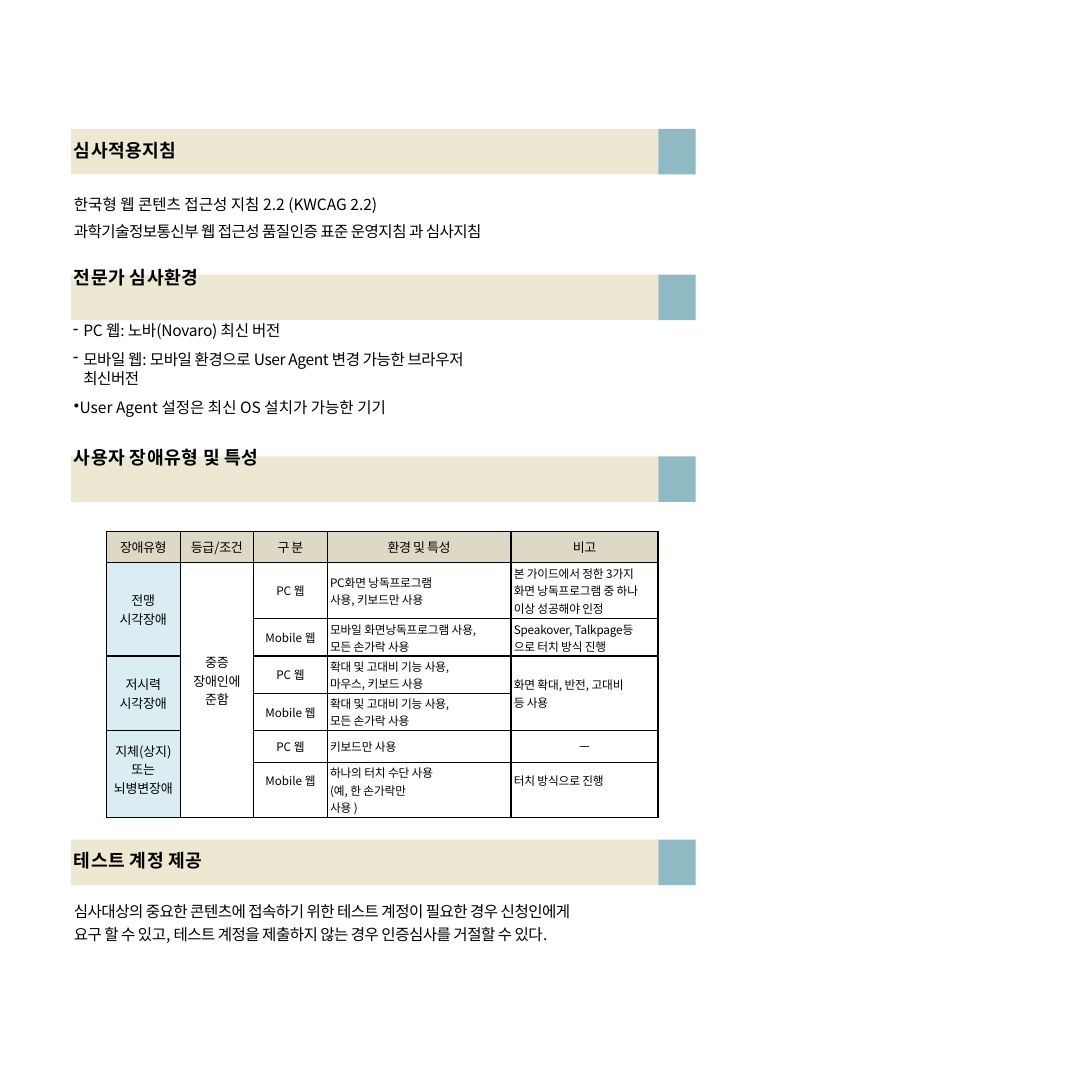
import pptx
import pptx.util
import pptx.dml.color
import pptx.enum.shapes
import pptx.enum.text
import pptx.oxml
import pptx.oxml.ns

SIDE = 11.69
FONT = "Noto Sans CJK KR"
HUES = {"bar": "ECE8D2", "tag": "8FB9C3", "head": "DDD9C4",
        "type": "DAEDF3", "ink": "000000"}
ALIGN = pptx.enum.text.PP_ALIGN

BARS = [11.8, 25.15, 41.8, 76.9]
COLS = [6.74, 6.74, 6.74, 16.83, 13.46]
ROWS = [2.8, 5.2, 3.4, 3.4, 3.4, 2.94, 5.05]

HEADS = ["장애유형", "등급/조건", "구 분", "환경 및 특성", "비고"]
TYPES = ["전맹\v시각장애", "저시력\v시각장애", "지체(상지) 또는\v뇌병변장애"]
USES = [
    "PC화면 낭독프로그램 사용, 키보드만 사용",
    "모바일 화면낭독프로그램 사용,\v모든 손가락 사용",
    "확대 및 고대비 기능 사용,\v마우스, 키보드 사용",
    "확대 및 고대비 기능 사용,\v모든 손가락 사용",
    "키보드만 사용",
    "하나의 터치 수단 사용\v(예, 한 손가락만\v사용 )",
]
NOTES = {
    1: "본 가이드에서 정한 3가지\v화면 낭독프로그램 중 하나\v이상 성공해야 인정",
    2: "Speakover, Talkpage등\v으로 터치 방식 진행",
    3: "화면 확대, 반전, 고대비\v등 사용",
    5: "ㅡ",
    6: "터치 방식으로 진행",
}


def grid(count):
    return pptx.util.Inches(SIDE * count / 100)


def hue(name):
    return pptx.dml.color.RGBColor.from_string(HUES[name])


def style(para, size, line, gap=0, bold=False, track=0.0, left=0.02,
          mark=None, hang=0.0, align=ALIGN.LEFT):
    para.alignment = align
    para.line_spacing = pptx.util.Pt(line)
    para.space_before = pptx.util.Pt(gap)
    props = para._p.get_or_add_pPr()
    props.set("marL", str(pptx.util.Inches(left)))
    props.set("indent", str(-pptx.util.Inches(hang)))
    if mark:
        item = pptx.oxml.parse_xml(
            f'<a:buChar {pptx.oxml.ns.nsdecls("a")} char="{mark}"/>')
        props.append(item)
    font = para.font
    font.size = pptx.util.Pt(size)
    font.bold = bold
    font.name = FONT
    font.color.rgb = hue("ink")
    base = props.find(pptx.oxml.ns.qn("a:defRPr"))
    base.set("spc", str(round(track * 100)))
    base.append(pptx.oxml.parse_xml(
        f'<a:ea {pptx.oxml.ns.nsdecls("a")} typeface="{FONT}"/>'))


def block(slide, left, top, width, height, paras):
    box = slide.shapes.add_textbox(*map(grid, (left, top, width, height)))
    frame = box.text_frame
    frame.word_wrap = True
    frame.margin_left = frame.margin_right = 0
    frame.margin_top = frame.margin_bottom = 0
    for order, (text, look) in enumerate(paras):
        para = frame.add_paragraph() if order else frame.paragraphs[0]
        para.text = text
        style(para, **look)


def title(text, gap=0):
    return text, dict(size=14, line=17, gap=gap, bold=True, track=0.3)


def body(text, line=15, gap=0, track=-0.4, **more):
    return text, dict(size=12, line=line, gap=gap, track=track, **more)


def rect(slide, left, top, width, name):
    kind = pptx.enum.shapes.MSO_SHAPE.RECTANGLE
    shape = slide.shapes.add_shape(
        kind, grid(left), grid(top), grid(width), grid(4.17))
    shape.shadow.inherit = False
    shape.fill.solid()
    shape.fill.fore_color.rgb = hue(name)
    shape.line.fill.background()


def edge(cell):
    props = cell._tc.get_or_add_tcPr()
    for order, side in enumerate(("lnL", "lnR", "lnT", "lnB")):
        props.insert(order, pptx.oxml.parse_xml(
            f'<a:{side} {pptx.oxml.ns.nsdecls("a")} w="12700"><a:solidFill>'
            f'<a:srgbClr val="{HUES["ink"]}"/></a:solidFill></a:{side}>'))


def write(cell, text, size=9, mid=False, right=0.0, lift=0.0, track=-0.1):
    cell.margin_right = pptx.util.Inches(right)
    cell.margin_bottom = pptx.util.Inches(lift)
    para = cell.text_frame.paragraphs[0]
    para.text = text
    style(para, size, size * 1.5 if size == 9 else 14.5, track=track,
          left=right if mid else 0.03,
          align=ALIGN.CENTER if mid else ALIGN.LEFT)


def chart(slide):
    frame = slide.shapes.add_table(
        len(ROWS), len(COLS), grid(9.75), grid(48.68),
        grid(sum(COLS)), grid(sum(ROWS)))
    table = frame.table
    table.first_row = table.horz_banding = False
    for col, width in zip(table.columns, COLS):
        col.width = grid(width)
    for row, height in zip(table.rows, ROWS):
        row.height = grid(height)
    for row in range(len(ROWS)):
        for col in range(len(COLS)):
            cell = table.cell(row, col)
            cell.margin_left = cell.margin_right = 0
            cell.margin_top = cell.margin_bottom = 0
            cell.vertical_anchor = pptx.enum.text.MSO_ANCHOR.MIDDLE
            if row == 0 or col == 0:
                cell.fill.solid()
                cell.fill.fore_color.rgb = hue("type" if row else "head")
            else:
                cell.fill.background()
            edge(cell)
    for top, left, end in ((1, 0, 2), (3, 0, 4), (5, 0, 6),
                           (1, 1, 6), (3, 4, 4)):
        table.cell(top, left).merge(table.cell(end, left))

    for col, text in enumerate(HEADS):
        write(table.cell(0, col), text, 10, True, track=-0.3)
    for order, text in enumerate(TYPES):
        last = order == 2
        write(table.cell(1 + 2 * order, 0), text, 10, True,
              right=0.07 if last else 0, lift=0.1 if last else 0)
    write(table.cell(1, 1), "중증\v장애인에\v준함", 10, True, lift=0.2)
    for row, text in enumerate(USES, 1):
        lift = 0.2 if row == 6 else 0
        write(table.cell(row, 2), "PC 웹" if row % 2 else "Mobile 웹",
              mid=True, lift=lift, track=0)
        write(table.cell(row, 3), text, right=0.6 if row == 1 else 0)
        if row in NOTES:
            write(table.cell(row, 4), NOTES[row], mid=row == 5, lift=lift)


def main():
    deck = pptx.Presentation()
    deck.slide_width = deck.slide_height = pptx.util.Inches(SIDE)
    slide = deck.slides.add_slide(deck.slide_layouts[6])
    for top in BARS:
        rect(slide, 6.5, top, 53.8, "bar")
        rect(slide, 60.3, top, 3.4, "tag")
    chart(slide)
    dash = dict(mark="-", left=0.12, hang=0.11)
    block(slide, 6.6, 12.75, 44.4, 32.2, [
        title("심사적용지침"),
        body("한국형 웹 콘텐츠 접근성 지침 2.2 (KWCAG 2.2)", 21, 19.4, 0),
        body("과학기술정보통신부 웹 접근성 품질인증 표준 운영지침 과 심사지침", 21),
        title("전문가 심사환경", 19.7),
        body("PC 웹: 노바(Novaro) 최신 버전", gap=24.6, track=-0.2, **dash),
        body("모바일 웹: 모바일 환경으로 User Agent 변경 가능한 브라우저\v최신버전",
             gap=6.8, track=-0.3, **dash),
        body("User Agent 설정은 최신 OS 설치가 가능한 기기", gap=7.3,
             track=0, mark="•", left=0.08, hang=0.06),
        title("사용자 장애유형 및 특성", 22.8),
    ])
    block(slide, 6.6, 77.8, 49.4, 9.4, [
        title("테스트 계정 제공"),
        body("심사대상의 중요한 콘텐츠에 접속하기 위한 테스트 계정이 필요한 경우 "
             "신청인에게\v요구 할 수 있고, 테스트 계정을 제출하지 않는 경우 "
             "인증심사를 거절할 수 있다.", 17.7, 20.4),
    ])
    deck.save("out.pptx")


if __name__ == "__main__":
    main()
